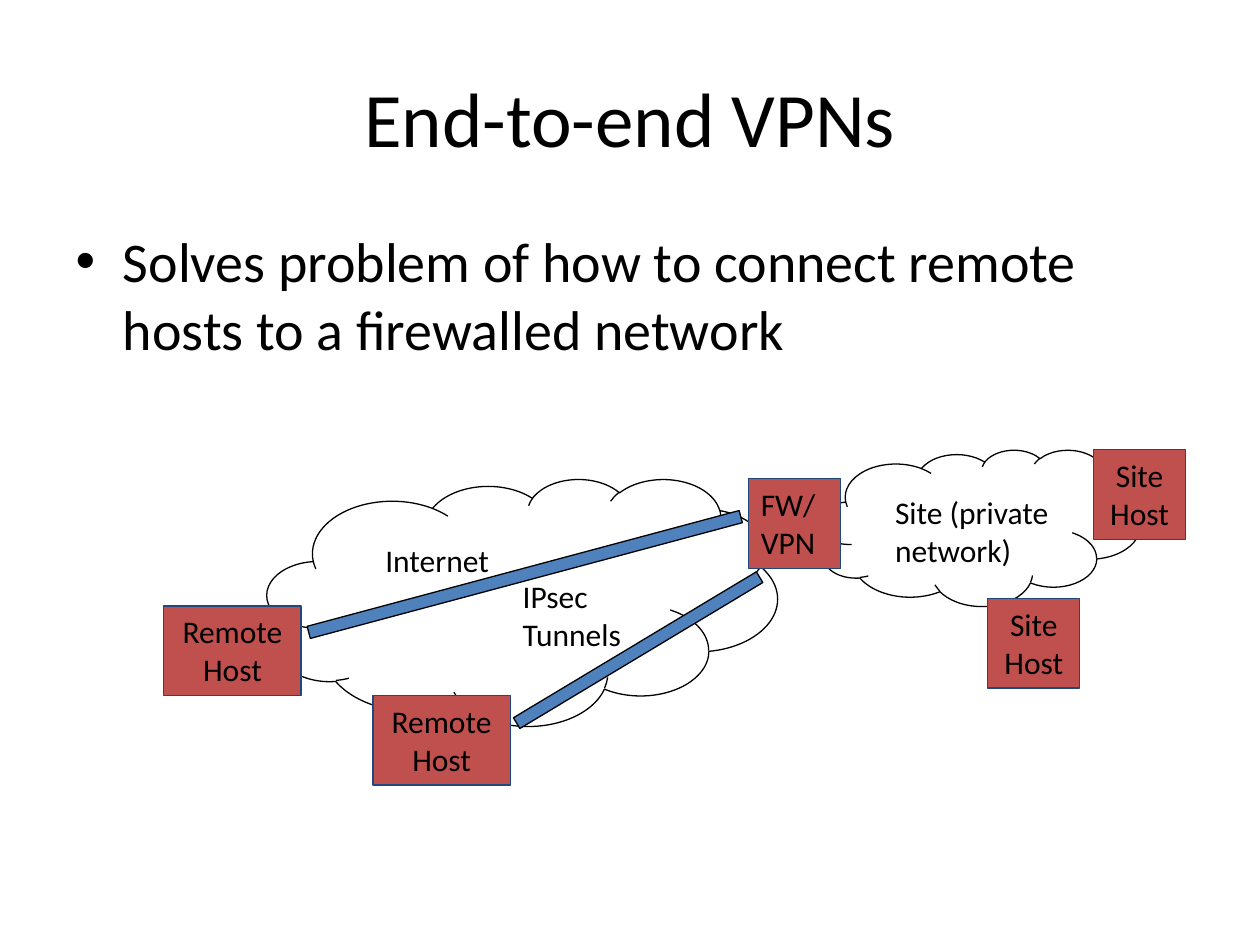
from pptx import Presentation
from pptx.dml.color import RGBColor
from pptx.enum.shapes import MSO_SHAPE
from pptx.enum.text import MSO_ANCHOR, PP_ALIGN
from pptx.util import Inches, Pt

WIDTH, HEIGHT = 10, 7.5
COLUMNS, ROWS = 20, 15
BLACK, WHITE, RED, BLUE, NAVY = "000000", "FFFFFF", "C0504D", "4F81BD", "1F497D"


def color(value):
    return RGBColor.from_string(value)


class Diagram:
    """Draws the VPN diagram on one slide, placed on a grid of half-inch cells."""

    font_name = "Calibri"
    label_size = 18
    line_width = 0.75

    def __init__(self, page):
        self.page = page

    def frame(self, left, top, width, height):
        column, row = WIDTH / COLUMNS, HEIGHT / ROWS
        return (Inches(left * column), Inches(top * row),
                Inches(width * column), Inches(height * row))

    def set_text(self, box, lines, size, align):
        text_frame = box.text_frame
        text_frame.text = "\n".join(lines)
        for para in text_frame.paragraphs:
            para.alignment = align
            para.font.name = self.font_name
            para.font.size = Pt(size)
            para.font.color.rgb = color(BLACK)

    def placeholder(self, index, area, text, size, align, anchor):
        box = self.page.placeholders[index]
        box.left, box.top, box.width, box.height = self.frame(*area)
        self.set_text(box, [text], size, align)
        box.text_frame.vertical_anchor = anchor

    def shape(self, kind, area, fill=None, line=None):
        box = self.page.shapes.add_shape(kind, *self.frame(*area))
        box.shadow.inherit = False
        if fill:
            box.fill.solid()
            box.fill.fore_color.rgb = color(fill)
        else:
            box.fill.background()
        if line:
            box.line.color.rgb = color(line)
            box.line.width = Pt(self.line_width)
        else:
            box.line.fill.background()
        return box

    def cloud(self, area, text, inset_left, inset_top):
        box = self.shape(MSO_SHAPE.CLOUD, area, line=BLACK)
        self.set_text(box, [text], self.label_size, PP_ALIGN.LEFT)
        text_frame = box.text_frame
        text_frame.word_wrap = True
        text_frame.vertical_anchor = MSO_ANCHOR.TOP
        text_frame.margin_left = Inches(inset_left)
        text_frame.margin_top = Inches(inset_top)

    def label(self, area, lines, fill=RED, line=NAVY, align=PP_ALIGN.CENTER):
        box = self.shape(MSO_SHAPE.RECTANGLE, area, fill, line)
        self.set_text(box, lines, self.label_size, align)
        box.text_frame.word_wrap = False
        box.text_frame.vertical_anchor = MSO_ANCHOR.TOP

    def tunnel(self, left, top, length, angle):
        box = self.shape(MSO_SHAPE.RECTANGLE, (left, top, length, 0.2), BLUE, BLACK)
        box.rotation = angle


def main():
    deck = Presentation()
    deck.slide_width, deck.slide_height = Inches(WIDTH), Inches(HEIGHT)
    diagram = Diagram(deck.slides.add_slide(deck.slide_layouts[1]))

    diagram.placeholder(0, (1, 0.6, 18, 2.5), "End-to-end VPNs",
                        44, PP_ALIGN.CENTER, MSO_ANCHOR.MIDDLE)
    diagram.placeholder(
        1, (1, 3.5, 18, 9.9),
        "Solves problem of how to connect remote hosts to a firewalled network",
        32, PP_ALIGN.LEFT, MSO_ANCHOR.TOP)

    diagram.cloud((12.96, 7.14, 5.14, 2.48), "Site (private network)", 0.27, 0.16)
    diagram.cloud((4.24, 7.6, 8.1, 3.92), "Internet", 0.38, 0.2)

    for left, top in ((2.6, 9.62), (5.92, 11.04)):
        diagram.label((left, top, 2.18, 1.42), ["Remote", "Host"])
    diagram.label((11.88, 7.6, 1.46, 1.42), ["FW/", "VPN"], align=PP_ALIGN.LEFT)
    for left, top in ((15.68, 9.5), (17.36, 7.14)):
        diagram.label((left, top, 1.46, 1.42), ["Site", "Host"])
    diagram.label((8.1, 9.06, 2.18, 1.4), ["IPsec", "Tunnels"],
                  fill=WHITE, line=None, align=PP_ALIGN.LEFT)

    diagram.tunnel(7.88, 10.22, 4.5, 329)
    diagram.tunnel(4.78, 9.02, 7.1, 345)

    deck.save("out.pptx")


if __name__ == "__main__":
    main()
